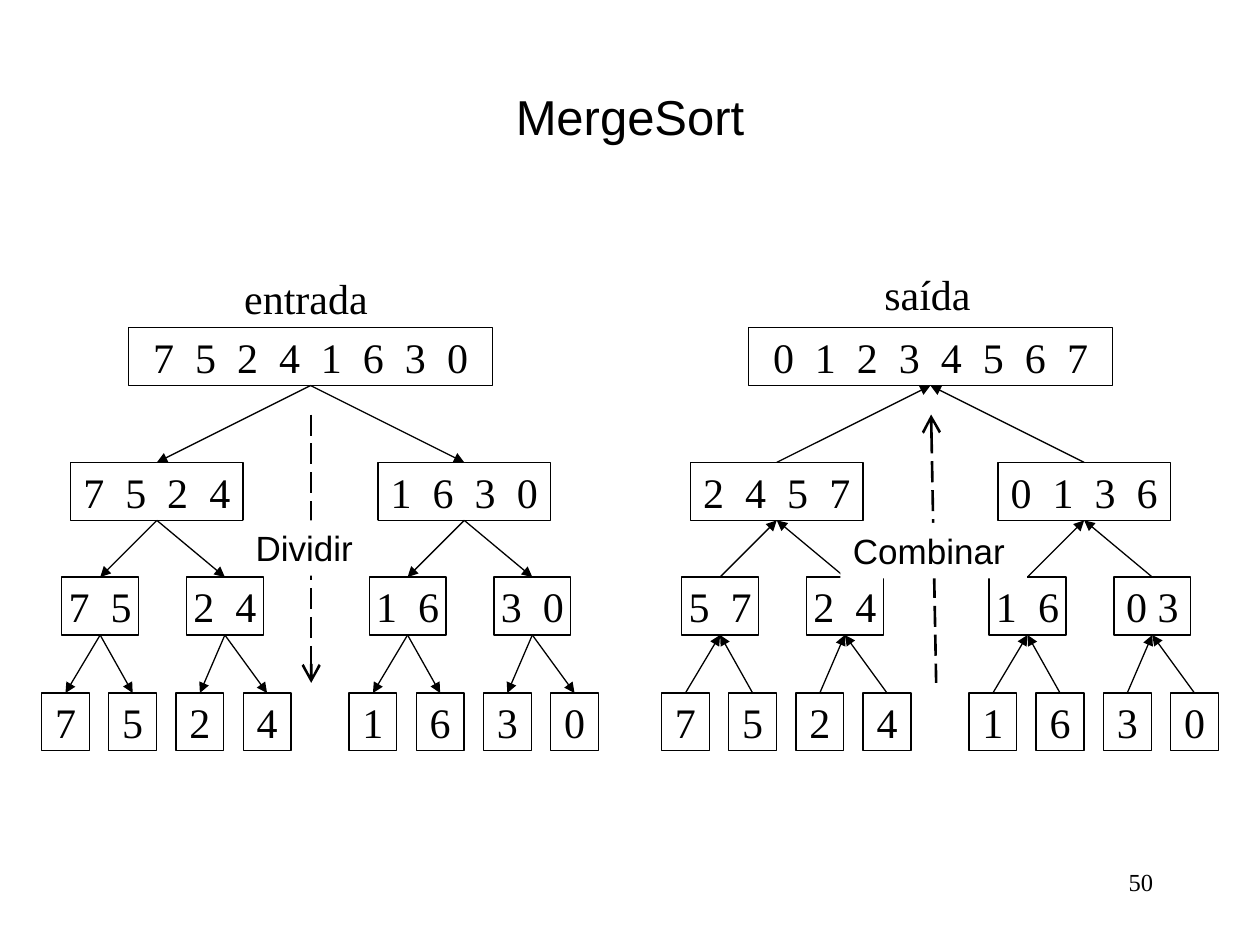
from dataclasses import dataclass

from lxml import etree
from pptx import Presentation
from pptx.dml.color import RGBColor
from pptx.enum.dml import MSO_LINE
from pptx.enum.shapes import MSO_CONNECTOR, MSO_SHAPE
from pptx.enum.text import MSO_ANCHOR, PP_ALIGN
from pptx.oxml.ns import qn
from pptx.util import Inches, Pt

RECTANGLE = MSO_SHAPE.RECTANGLE
STRAIGHT = MSO_CONNECTOR.STRAIGHT
LONG_DASH = MSO_LINE.LONG_DASH
MIDDLE, TOP = MSO_ANCHOR.MIDDLE, MSO_ANCHOR.TOP
LEFT, CENTER, RIGHT = PP_ALIGN.LEFT, PP_ALIGN.CENTER, PP_ALIGN.RIGHT
BOTTOM_SITE, TOP_SITE = 2, 0


@dataclass(frozen=True)
class Theme:
    ink: RGBColor = RGBColor(0, 0, 0)
    paper: RGBColor = RGBColor(255, 255, 255)
    sans: str = "Arial"
    serif: str = "Times New Roman"
    title: int = 28
    digits: int = 24
    phase: int = 20
    page: int = 14
    thin: float = 0.75
    thick: float = 1.5


@dataclass(frozen=True)
class Row:
    top: float
    left: float
    width: float
    step: float


THEME = Theme()
SEQUENCE = "75241630"
TIGHT_PAIR = "03"
HALF_PITCH = 2.44
NODE_HEIGHT = 0.46
ROWS = (
    Row(0.52, 0.69, 2.89, 0),
    Row(1.59, 0.23, 1.37, 0),
    Row(2.5, 0.16, 0.61, 0.99),
    Row(3.42, 0, 0.38, 1.6 / 3),
)


def style_text(paragraph, size, face, align=LEFT):
    paragraph.alignment = align
    paragraph.font.size = Pt(size)
    paragraph.font.name = face
    paragraph.font.color.rgb = THEME.ink


def add_text(slide, box, text, size, face, align=LEFT, anchor=TOP, wrap=True):
    frame = slide.shapes.add_textbox(*map(Inches, box)).text_frame
    frame.word_wrap = wrap
    frame.vertical_anchor = anchor
    frame.text = text
    style_text(frame.paragraphs[0], size, face, align)


def write_digits(paragraph, digits):
    if len(digits) > 1:
        leading = paragraph.add_run()
        leading.text = " ".join(digits[:-1]) + " "
        if digits != TIGHT_PAIR:
            leading._r.get_or_add_rPr().set("spc", "300")
    paragraph.add_run().text = digits[-1]
    style_text(paragraph, THEME.digits, THEME.serif, CENTER)


def add_node(slide, box, digits):
    node = slide.shapes.add_shape(RECTANGLE, *map(Inches, box))
    node.shadow.inherit = False
    node.fill.background()
    node.line.color.rgb = THEME.ink
    node.line.width = Pt(THEME.thin)
    frame = node.text_frame
    frame.word_wrap = False
    frame.vertical_anchor = MIDDLE
    write_digits(frame.paragraphs[0], digits)
    return node


def add_arrow(slide, start, end, width, merging, tip, tip_size="med"):
    arrow = slide.shapes.add_connector(STRAIGHT, *map(Inches, (*start, *end)))
    arrow.line.color.rgb = THEME.ink
    arrow.line.width = Pt(width)
    line_end = "a:headEnd" if merging else "a:tailEnd"
    etree.SubElement(arrow.line._get_or_add_ln(), qn(line_end),
                     type=tip, w=tip_size, len=tip_size)
    etree.SubElement(arrow._element.spPr, qn("a:effectLst"))
    return arrow


def add_branch(slide, parent, child, merging):
    branch = add_arrow(slide, (0, 0), (0, 0), THEME.thin, merging, "triangle")
    branch.begin_connect(parent, BOTTOM_SITE)
    branch.end_connect(child, TOP_SITE)


def add_tree(slide, left, top, merging):
    parents = []
    for depth, row in enumerate(ROWS):
        count = 2 ** depth
        size = len(SEQUENCE) // count
        per_half = max(count // 2, 1)
        nodes = []
        for index in range(count):
            half, place = divmod(index, per_half)
            digits = SEQUENCE[index * size:(index + 1) * size]
            if merging:
                digits = "".join(sorted(digits))
            x = left + row.left + half * HALF_PITCH + place * row.step
            node = add_node(slide, (x, top + row.top, row.width, NODE_HEIGHT), digits)
            if parents:
                add_branch(slide, parents[index // 2], node, merging)
            nodes.append(node)
        parents = nodes


def add_phase(slide, left, top, box, name, lean, merging):
    axis = left + 2.14
    arrow = add_arrow(slide, (axis, top + 1.21), (axis + lean, top + 3.34),
                      THEME.thick, merging, "arrow", "lg")
    arrow.line.dash_style = LONG_DASH
    x, y, width, height = box
    plate = slide.shapes.add_shape(
        RECTANGLE, *map(Inches, (left + x, top + y, width, height)))
    plate.shadow.inherit = False
    plate.fill.solid()
    plate.fill.fore_color.rgb = THEME.paper
    plate.line.fill.background()
    frame = plate.text_frame
    frame.vertical_anchor = TOP
    frame.text = name
    style_text(frame.paragraphs[0], THEME.phase, THEME.sans)


def add_panel(slide, left, top, caption, caption_box, phase, phase_box, lean, merging):
    add_tree(slide, left, top, merging)
    add_phase(slide, left, top, phase_box, phase, lean, merging)
    x, y, width, height = caption_box
    add_text(slide, (left + x, top + y, width, height), caption,
             THEME.digits, THEME.serif, wrap=False)


def main():
    deck = Presentation()
    deck.slide_width, deck.slide_height = Inches(10), Inches(7.5)
    slide = deck.slides.add_slide(deck.slide_layouts[6])
    add_text(slide, (0.75, 0.67, 8.5, 0.5), "MergeSort",
             THEME.title, THEME.sans, CENTER, MIDDLE)
    add_panel(slide, 0.33, 2.08, "entrada", (1.51, 0.03, 1.2, 0.5),
              "Dividir", (1.6, 2.05, 1.07, 0.44), lean=0, merging=False)
    add_panel(slide, 5.25, 2.08, "saída", (1.67, 0, 0.95, 0.5),
              "Combinar", (1.42, 2.07, 1.48, 0.44), lean=0.04, merging=True)
    add_text(slide, (7.17, 6.83, 2.08, 0.5), "50", THEME.page, THEME.serif, RIGHT)
    deck.save("out.pptx")


if __name__ == "__main__":
    main()
